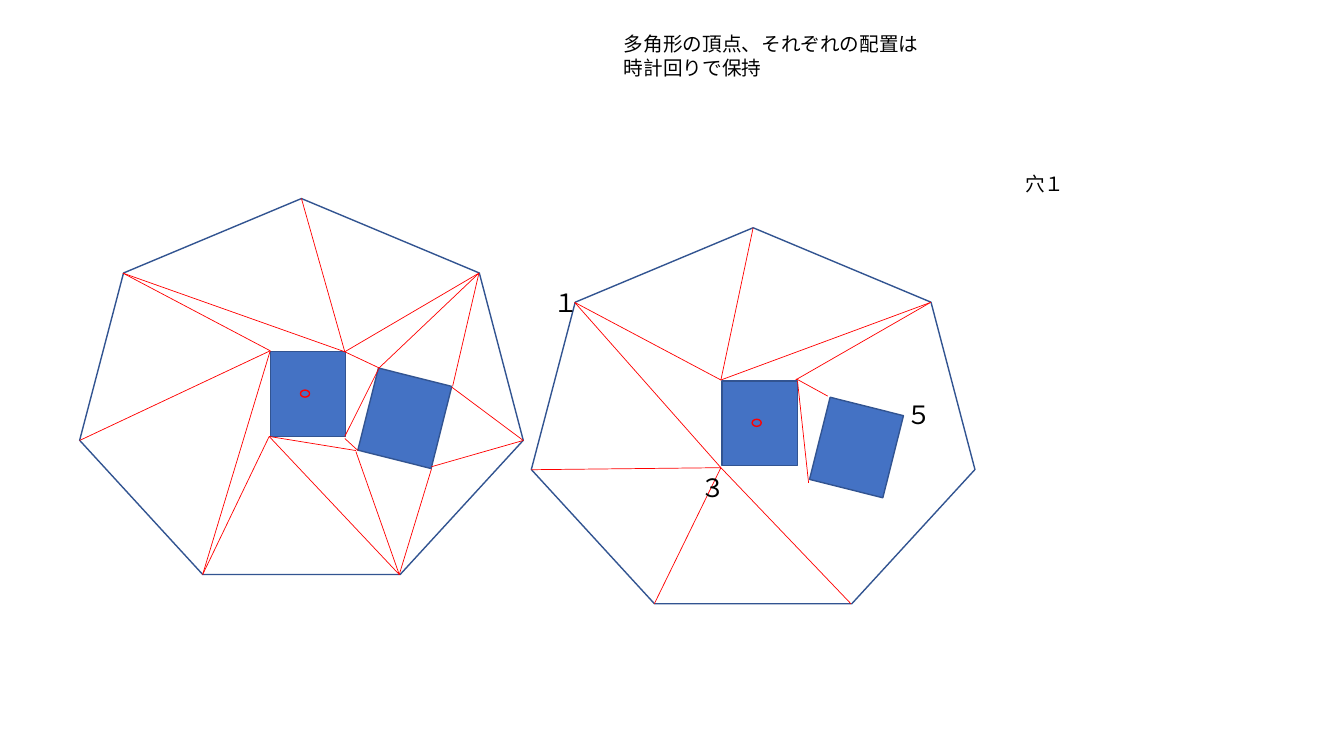
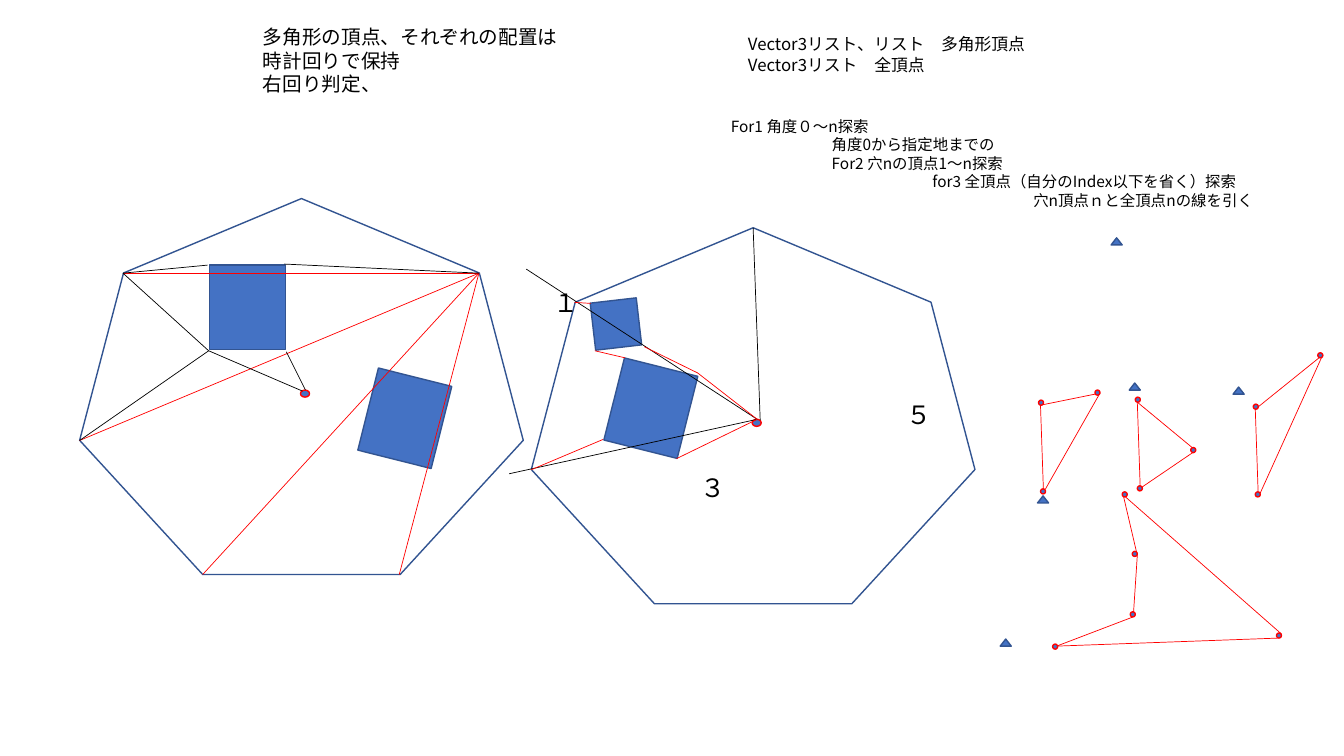
"""Build two slides that sketch how a polygon with holes is triangulated."""
from collections import namedtuple

from lxml import etree
from pptx import Presentation
from pptx import util as u
from pptx.dml.color import RGBColor
from pptx.enum import shapes, text
from pptx.oxml.ns import qn

COLUMNS, ROWS = 13.33, 7.5
CELL = u.Inches(1)
FONT = "Noto Sans CJK JP"
BLUE = RGBColor(0x44, 0x72, 0xC4)
NAVY = RGBColor(0x32, 0x54, 0x91)
RED = RGBColor(0xFF, 0x00, 0x00)
BLACK = RGBColor(0x00, 0x00, 0x00)

POLYGON_SIZE = (4.4, 3.73)
HOLE_SIZE = (0.75, 0.84)
SMALL_HOLE_SIZE = (0.46, 0.47)
CENTRE_SIZE = (0.09, 0.07)
DOT_SIZE = (0.05, 0.05)
FLAG_SIZE = (0.11, 0.07)
TILT = 14.1
LEFT_POLYGON = (0.79, 1.97)
RIGHT_POLYGON = (5.27, 2.26)
LEFT_CENTRE = (2.98, 3.87)
RIGHT_CENTRE = (7.46, 4.16)
CLOCKWISE_NOTE = "多角形の頂点、それぞれの配置は時計回りで保持"

Corners = namedtuple(
    "Corners", "top upper_right right lower_right lower_left left upper_left")
CORNER_OFFSETS = Corners(
    (2.2, 0), (3.96, 0.74), (4.4, 2.4), (3.17, 3.73),
    (1.22, 3.73), (0, 2.4), (0.43, 0.74))


def grid(*cells):
    return [u.Emu(round(cell * CELL)) for cell in cells]


def add_figure(page, kind, at, size, fill=BLUE, line=NAVY, rotation=0):
    figure = page.shapes.add_shape(kind, *grid(*at, *size))
    figure.shadow.inherit = False
    figure.rotation = rotation
    if fill is None:
        figure.fill.background()
    else:
        figure.fill.solid()
        figure.fill.fore_color.rgb = fill
    figure.line.color.rgb = line
    figure.line.width = u.Pt(1)


def add_polygon(page, at):
    add_figure(page, shapes.MSO_SHAPE.HEPTAGON, at, POLYGON_SIZE, fill=None)
    return Corners(*((at[0] + x, at[1] + y) for x, y in CORNER_OFFSETS))


def add_hole(page, at, rotation=0, size=HOLE_SIZE):
    add_figure(page, shapes.MSO_SHAPE.RECTANGLE, at, size, rotation=rotation)


def add_dot(page, at, size=DOT_SIZE):
    add_figure(page, shapes.MSO_SHAPE.OVAL, at, size, line=RED)


def add_flag(page, at):
    add_figure(page, shapes.MSO_SHAPE.ISOSCELES_TRIANGLE, at, FLAG_SIZE)


def add_chain(page, *points, color=RED):
    for start, end in zip(points, points[1:]):
        edge = page.shapes.add_connector(
            shapes.MSO_CONNECTOR.STRAIGHT, *grid(*start, *end))
        edge.line.color.rgb = color
        edge.line.width = u.Pt(0.5)
        etree.SubElement(edge._element.spPr, qn("a:effectLst"))


def add_fan(page, hub, *ends, color=RED):
    for end in ends:
        add_chain(page, hub, end, color=color)


def add_note(page, at, size, points, *lines):
    box = page.shapes.add_textbox(*grid(*at, *size))
    frame = box.text_frame
    frame.word_wrap = True
    frame.auto_size = text.MSO_AUTO_SIZE.SHAPE_TO_FIT_TEXT
    for number, (indent, words) in enumerate(lines):
        para = frame.add_paragraph() if number else frame.paragraphs[0]
        if indent:
            para._p.get_or_add_pPr().set("marL", str(grid(indent)[0]))
        span = para.add_run()
        span.text = words
        span.font.size = u.Pt(points)
        span.font.name = FONT
        span.font.color.rgb = BLACK
        east_asian = etree.SubElement(span.font._element, qn("a:ea"))
        east_asian.set("typeface", FONT)


def add_corner_numbers(page):
    for at, digit in (((5.39, 2.8), "１"), ((6.85, 4.64), "３"),
                      ((8.89, 3.91), "５")):
        add_note(page, at, (0.3, 0.4), 18, (0, digit))


def add_polygons(page):
    corners = add_polygon(page, LEFT_POLYGON), add_polygon(page, RIGHT_POLYGON)
    add_hole(page, (3.64, 3.73), TILT)
    return corners


def add_centres(page):
    for at in (LEFT_CENTRE, RIGHT_CENTRE):
        add_dot(page, at, CENTRE_SIZE)


def draw_triangulation(page):
    left, right = add_polygons(page)
    add_hole(page, (2.68, 3.49))
    add_hole(page, (7.16, 3.78))
    add_hole(page, (8.12, 4.02), TILT)
    add_centres(page)

    hole_left, hole_right, hole_foot = (2.68, 3.48), (3.42, 3.49), (2.67, 4.33)
    tilted_top = (3.76, 3.65)
    add_fan(page, left.top, hole_right)
    add_fan(page, left.upper_right, hole_right, tilted_top, (4.49, 3.83))
    add_fan(page, left.right, (4.28, 4.63), (4.48, 3.84))
    add_fan(page, left.lower_right, hole_foot, (3.53, 4.48), (4.28, 4.65))
    add_fan(page, left.lower_left, hole_left, hole_foot)
    add_fan(page, left.left, hole_left)
    add_fan(page, left.upper_left, hole_right, hole_left)
    add_chain(page, hole_right, tilted_top, (3.42, 4.33))
    add_chain(page, hole_foot, (3.53, 4.47))
    add_chain(page, (3.42, 4.35), (3.55, 4.47))

    add_fan(page, (7.15, 3.77), right.top, right.upper_right, right.upper_left)
    add_fan(page, (7.15, 4.64), right.lower_right, right.lower_left,
            right.left, right.upper_left)
    add_chain(page, right.upper_right, (7.89, 3.77))
    add_chain(page, (8.21, 3.93), (7.9, 3.76))
    add_chain(page, (8.02, 4.79), (7.91, 3.78))

    add_corner_numbers(page)
    add_note(page, (6.09, 0.27), (3.27, 0.57), 14, (0, CLOCKWISE_NOTE))
    add_note(page, (10.07, 1.66), (3.27, 0.34), 14, (0, "穴１"))


def draw_turn_examples(page):
    add_chain(page, (11.31, 4.87), (11.28, 3.99), (11.86, 4.47), (11.33, 4.83))
    add_chain(page, (12.48, 4.93), (12.45, 4.06), (13.12, 3.52), (12.5, 4.89))
    add_chain(page, (10.35, 4.9), (10.32, 4.02), (10.91, 3.9), (10.37, 4.85))
    add_chain(page, (12.69, 6.33), (10.48, 6.41), (11.24, 6.12),
              (11.28, 5.51), (11.14, 4.91), (12.71, 6.29))
    for at in ((11.28, 4.82), (11.81, 4.44), (11.26, 3.94),
               (12.45, 4.88), (13.07, 3.5), (12.43, 4.01),
               (10.32, 4.85), (10.86, 3.87), (10.3, 3.97),
               (10.44, 6.39), (11.23, 5.47), (11.21, 6.07),
               (12.66, 6.28), (11.13, 4.88)):
        add_dot(page, at)
    for at in ((10.29, 4.92), (11.2, 3.8), (11.02, 2.36),
               (12.23, 3.84), (9.92, 6.34)):
        add_flag(page, at)


def draw_search(page):
    left, right = add_polygons(page)
    add_hole(page, (2.08, 2.63))
    add_hole(page, (5.88, 2.98), 353.4, SMALL_HOLE_SIZE)
    add_hole(page, (6.08, 3.63), TILT)
    add_centres(page)

    hole_foot = (2.07, 3.48)
    add_fan(page, left.upper_right, left.upper_left, left.lower_right,
            left.lower_left, left.left)
    add_chain(page, left.upper_left, hole_foot, (3, 3.88), color=BLACK)
    add_chain(page, left.left, hole_foot, color=BLACK)
    add_chain(page, (2.84, 3.49), (3.03, 3.87), color=BLACK)
    add_chain(page, (2.82, 2.62), left.upper_right, color=BLACK)
    add_chain(page, left.upper_left, (2.06, 2.63), color=BLACK)

    eye = (7.51, 4.16)
    add_fan(page, eye, (5.22, 2.67), (5.05, 4.7), color=BLACK)
    add_chain(page, (7.54, 4.17), right.top, color=BLACK)
    add_chain(page, eye, (6.92, 3.7), (6.39, 3.44))
    add_chain(page, eye, (6.71, 4.55))
    add_chain(page, (5.86, 3.01), right.upper_left)
    add_chain(page, (5.98, 4.36), right.left)
    add_chain(page, (6.2, 3.55), (5.9, 3.48))

    draw_turn_examples(page)
    add_corner_numbers(page)
    add_note(page, (2.51, 0.2), (3.27, 0.81), 14,
             (0, CLOCKWISE_NOTE), (0, "右回り判定、"))
    add_note(page, (7.32, 0.29), (3.59, 0.5), 12,
             (0, "Vector3リスト、リスト　多角形頂点"),
             (0, "Vector3リスト　全頂点"))
    add_note(page, (7.15, 1.11), (5.54, 1.03), 11,
             (0, "For1 角度０～n探索"),
             (1, "角度0から指定地までの"),
             (1, "For2 穴nの頂点1～n探索"),
             (2, "for3 全頂点（自分のIndex以下を省く）探索"),
             (3, "穴n頂点ｎと全頂点nの線を引く"))


def main():
    deck = Presentation()
    deck.slide_width, deck.slide_height = grid(COLUMNS, ROWS)
    blank = deck.slide_layouts[6]
    for draw in (draw_triangulation, draw_search):
        draw(deck.slides.add_slide(blank))
    deck.save("out.pptx")


if __name__ == "__main__":
    main()
